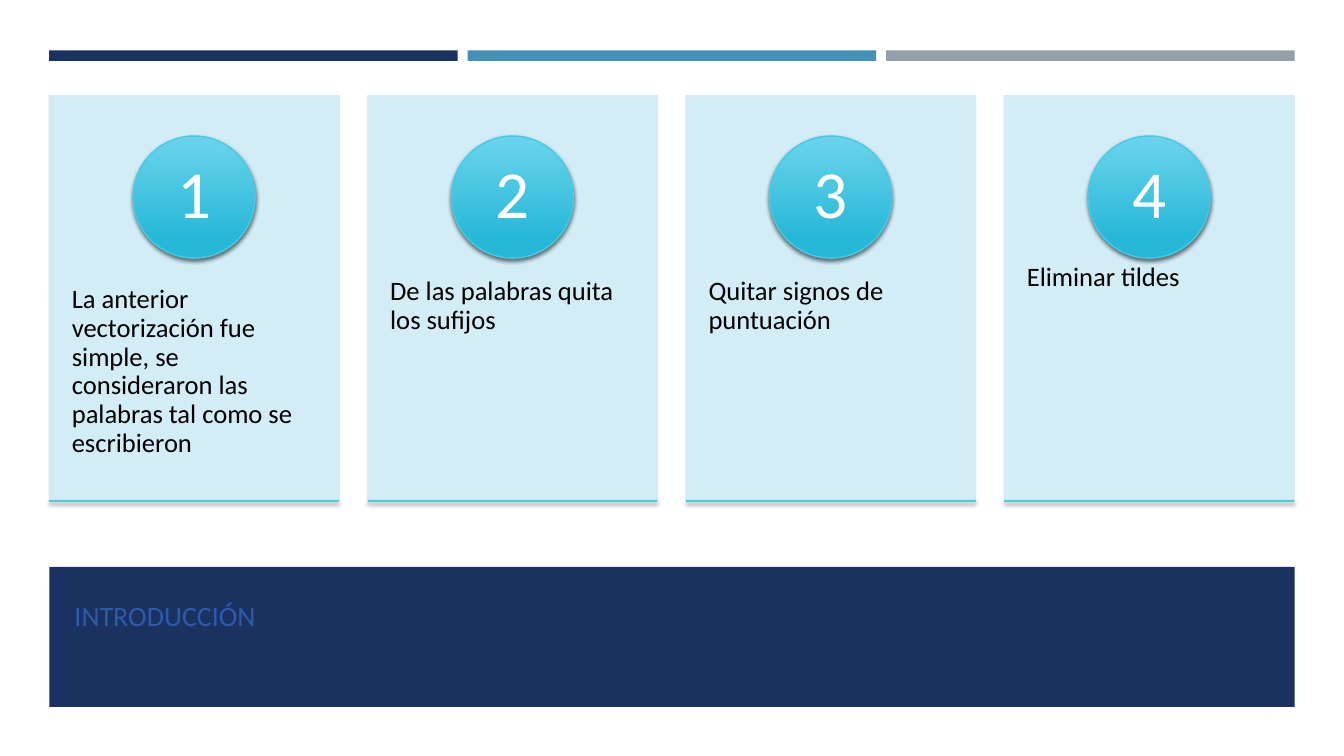
import pptx
import pptx.util
import pptx.dml.color
import pptx.enum.shapes
import pptx.enum.text
import pptx.oxml
import pptx.oxml.ns
from lxml import etree

Pt = pptx.util.Pt
RGB = pptx.dml.color.RGBColor.from_string
SHAPE = pptx.enum.shapes.MSO_SHAPE
ALIGN = pptx.enum.text.PP_ALIGN
ANCHOR = pptx.enum.text.MSO_ANCHOR

THEME = {
    "font": "Calibri",
    "navy": RGB("1A3260"),
    "blue": RGB("4590B8"),
    "gray": RGB("969FA7"),
    "title": RGB("2F5AAC"),
    "card": RGB("CFECF6"),
    "badge_top": RGB("6BD4EC"),
    "badge_bottom": RGB("26B8D7"),
    "badge_edge": RGB("45CBE8"),
    "body": RGB("000000"),
    "number": RGB("FFFFFF"),
    "title_size": Pt(20),
    "body_size": Pt(19),
    "number_size": Pt(48),
}
SHADOW = (
    f'<a:effectLst {pptx.oxml.ns.nsdecls("a")}>'
    '<a:outerShdw blurRad="38100" dist="25400" dir="5400000" rotWithShape="0">'
    '<a:srgbClr val="000000"><a:alpha val="55000"/></a:srgbClr>'
    '</a:outerShdw></a:effectLst>'
)


def add_block(kind, left, top, width, height, color):
    block = slide.shapes.add_shape(kind, Pt(left), Pt(top), Pt(width), Pt(height))
    block.shadow.inherit = False
    block.fill.solid()
    block.fill.fore_color.rgb = color
    block.line.fill.background()
    return block


def write(frame, text, size, color, align):
    paragraph = frame.paragraphs[0]
    paragraph.alignment = align
    paragraph.line_spacing = 0.9
    run = paragraph.add_run()
    run.text = text
    run.font.name = THEME["font"]
    run.font.size = THEME[size]
    run.font.color.rgb = THEME[color]


presentation = pptx.Presentation()
presentation.slide_width, presentation.slide_height = Pt(960), Pt(540)
slide = presentation.slides.add_slide(presentation.slide_layouts[5])

# Top stripes
MARGIN = 35.2
for index, color in enumerate(("navy", "blue", "gray")):
    add_block(SHAPE.RECTANGLE, MARGIN + index * 298.9, 36, 291.8, 7.5, THEME[color])

# Title on its band
band = add_block(SHAPE.RECTANGLE, MARGIN, 405, 889.6, 100, THEME["navy"])
title = slide.shapes.title
band.element.addnext(title.element)
title.left, title.top, title.width, title.height = Pt(46), Pt(414), Pt(387), Pt(54)
title.text_frame.vertical_anchor = ANCHOR.MIDDLE
write(title.text_frame, "INTRODUCCIÓN", "title_size", "title", ALIGN.LEFT)

# Numbered cards
STEPS = (
    "La anterior vectorización fue simple, se consideraron las palabras tal como se escribieron",
    "De las palabras quita los sufijos",
    "Quitar signos de puntuación",
    "Eliminar tildes",
)
CARD_TOP, CARD_WIDTH, CARD_HEIGHT, CARD_PITCH = 68.4, 207, 289.4, 227.4
BADGE = 87.2
for index, step in enumerate(STEPS):
    left = MARGIN + index * CARD_PITCH
    bottom = CARD_TOP + CARD_HEIGHT

    card = add_block(SHAPE.RECTANGLE, left, CARD_TOP, CARD_WIDTH, CARD_HEIGHT, THEME["card"])
    card.line.color.rgb = THEME["card"]
    card.line.width = Pt(1)
    for tint in card.element.spPr.iter(pptx.oxml.ns.qn("a:srgbClr")):
        etree.SubElement(tint, pptx.oxml.ns.qn("a:alpha"), val="90000")

    description = slide.shapes.add_textbox(Pt(left), Pt(178), Pt(CARD_WIDTH), Pt(173.5))
    frame = description.text_frame
    frame.word_wrap = True
    frame.margin_left = frame.margin_right = Pt(16.1)
    frame.margin_top = frame.margin_bottom = Pt(26)
    write(frame, step, "body_size", "body", ALIGN.LEFT)

    badge = add_block(SHAPE.OVAL, left + (CARD_WIDTH - BADGE) / 2, 97.2, BADGE, BADGE,
                      THEME["badge_top"])
    badge.fill.gradient()
    badge.fill.gradient_angle = 270
    start, end = badge.fill.gradient_stops
    start.position, start.color.rgb = 0, THEME["badge_top"]
    end.position, end.color.rgb = 0.84, THEME["badge_bottom"]
    frame = badge.text_frame
    frame.word_wrap = False
    frame.vertical_anchor = ANCHOR.MIDDLE
    frame.margin_top = frame.margin_bottom = Pt(1)
    write(frame, str(index + 1), "number_size", "number", ALIGN.CENTER)

    base_line = slide.shapes.add_connector(
        pptx.enum.shapes.MSO_CONNECTOR.STRAIGHT,
        Pt(left), Pt(bottom), Pt(left + CARD_WIDTH), Pt(bottom))

    # Shared edge and shadow
    for accent in (badge, base_line):
        accent.line.color.rgb = THEME["badge_edge"]
        accent.line.width = Pt(1)
        properties = accent.element.spPr
        for effects in properties.findall(pptx.oxml.ns.qn("a:effectLst")):
            properties.remove(effects)
        properties.append(pptx.oxml.parse_xml(SHADOW))

presentation.save("out.pptx")
